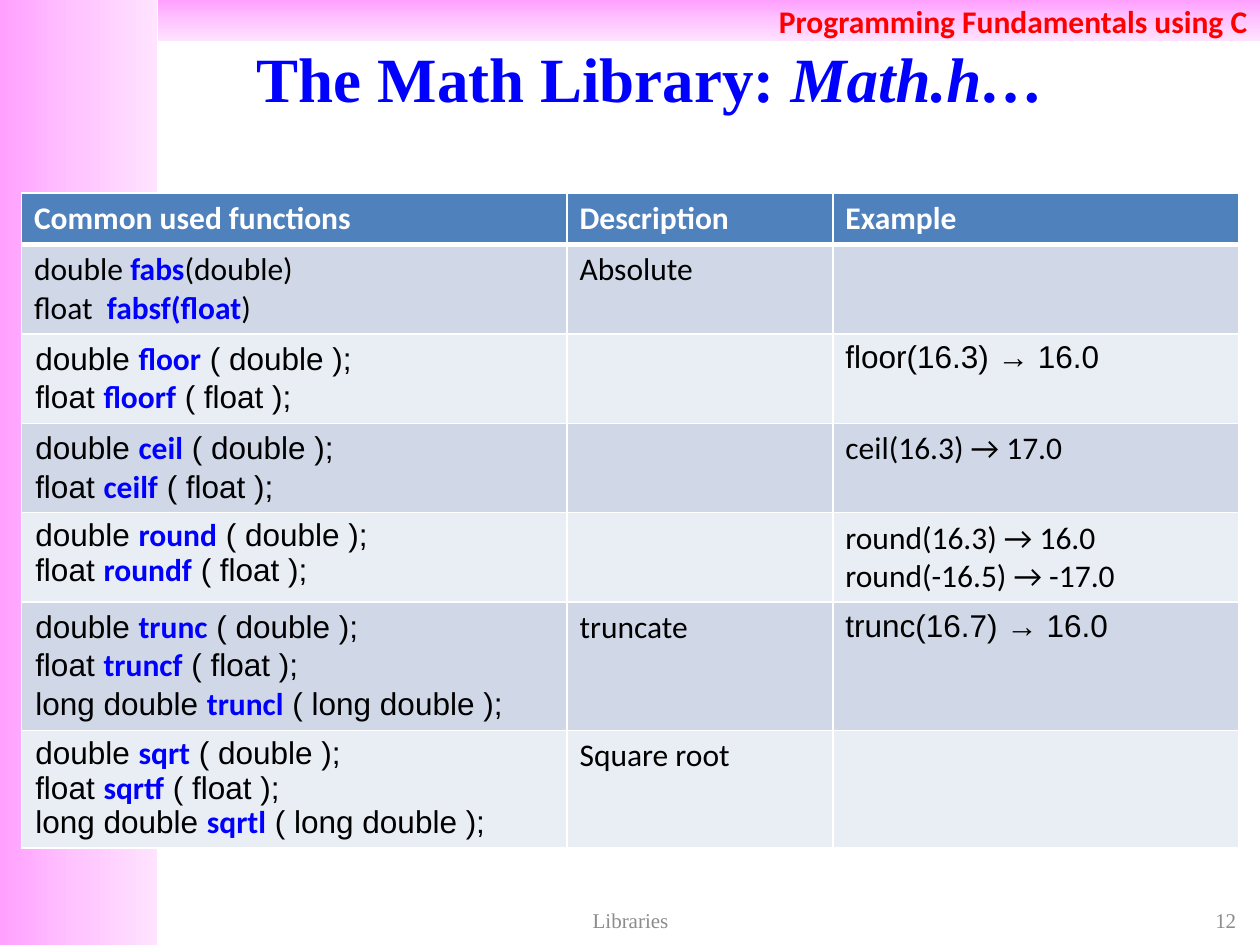
"""Build the Math.h function table slide."""
import copy
import dataclasses

import lxml.etree
import pptx
import pptx.dml.color
import pptx.enum.shapes
import pptx.enum.text
import pptx.oxml.ns
import pptx.util

Inches = pptx.util.Inches
Pt = pptx.util.Pt
qn = pptx.oxml.ns.qn
ALIGN = pptx.enum.text.PP_ALIGN
MIDDLE = pptx.enum.text.MSO_ANCHOR.MIDDLE


@dataclasses.dataclass(frozen=True)
class Theme:
    sans: str = "Calibri"
    code: str = "Arial"
    serif: str = "Times New Roman"
    title_size: int = 36
    body_size: int = 18
    footer_size: int = 12
    black: str = "000000"
    white: str = "FFFFFF"
    blue: str = "0000FF"
    red: str = "FF0000"
    grey: str = "8C8C8C"
    header: str = "4F81BD"
    bands: tuple = ("D0D8E8", "E9EDF4")
    pinks: tuple = ("FFA0FF", "FFC5FF", "FFE3FF")


THEME = Theme()


def rgb(value):
    return pptx.dml.color.RGBColor.from_string(value)


def write(tf, text, font=THEME.sans, size=THEME.body_size, color=THEME.black,
          bold=False, align=ALIGN.LEFT, spacing=None, mark=None):
    """Write lines of text, giving the parts between asterisks the mark format."""
    for i, line in enumerate(text.split("\n")):
        p = tf.paragraphs[0] if i == 0 else tf.add_paragraph()
        p.alignment = align
        if spacing:
            p.line_spacing = spacing
        for j, part in enumerate(line.split("*")):
            if not part:
                continue
            fmt = {"name": font, "color": color, "bold": bold, "italic": False}
            if j % 2:
                fmt.update(mark)
            r = p.add_run()
            r.text = part
            r.font.name = fmt["name"]
            r.font.size = Pt(size)
            r.font.bold = fmt["bold"]
            r.font.italic = fmt["italic"]
            r.font.color.rgb = rgb(fmt["color"])


class Deck:
    def __init__(self, theme):
        self.theme = theme
        self.prs = pptx.Presentation()
        self.prs.slide_width = Inches(10)
        self.prs.slide_height = Inches(7.5)
        self.s = self.prs.slides.add_slide(self.prs.slide_layouts[6])

    def gradient_bar(self, x, y, w, h, angle):
        sp = self.s.shapes.add_shape(pptx.enum.shapes.MSO_SHAPE.RECTANGLE,
                                     Inches(x), Inches(y), Inches(w), Inches(h))
        sp.shadow.inherit = False
        sp.line.fill.background()
        sp.fill.gradient()
        sp.fill.gradient_angle = angle
        stops = next(sp._element.iter(qn("a:gsLst")))
        stops.append(copy.deepcopy(stops[0]))
        for i, stop in enumerate(sp.fill.gradient_stops):
            stop.position = i / 2
            stop.color.rgb = rgb(self.theme.pinks[i])
        sp.text_frame.vertical_anchor = MIDDLE
        return sp

    def text(self, x, y, w, h, text, **fmt):
        sp = self.s.shapes.add_textbox(Inches(x), Inches(y), Inches(w), Inches(h))
        tf = sp.text_frame
        tf.word_wrap = True
        tf.vertical_anchor = MIDDLE
        write(tf, text, **fmt)

    def border(self, cell, side, width):
        ln = lxml.etree.SubElement(cell._tc.get_or_add_tcPr(), qn(f"a:ln{side}"),
                                   w=str(Pt(width)))
        fill = lxml.etree.SubElement(ln, qn("a:solidFill"))
        lxml.etree.SubElement(fill, qn("a:srgbClr"), val=self.theme.white)

    def table(self, x, y, widths, heights, rows):
        t = self.theme
        mark = {"name": t.sans, "color": t.blue, "bold": True}
        frame = self.s.shapes.add_table(len(rows), len(widths), Inches(x), Inches(y),
                                        Inches(sum(widths)), Inches(sum(heights)))
        table = frame.table
        for column, width in zip(table.columns, widths):
            column.width = Inches(width)
        for i, (row, height) in enumerate(zip(rows, heights)):
            table.rows[i].height = Inches(height)
            for j, (text, fmt) in enumerate(row):
                cell = table.cell(i, j)
                for side, heavy_row in (("L", None), ("R", None), ("T", 1), ("B", 0)):
                    self.border(cell, side, 3 if i == heavy_row else 1)
                cell.fill.solid()
                cell.fill.fore_color.rgb = rgb(t.bands[(i - 1) % 2] if i else t.header)
                if j == 0 and fmt.get("font") == t.code:
                    cell.margin_left = Inches(0.11)
                write(cell.text_frame, text, mark=mark, **fmt)


def main():
    t = THEME
    head = {"color": t.white, "bold": True}
    plain = {}
    code = {"font": t.code}
    tight = {"font": t.code, "spacing": 0.9}
    rows = [
        [("Common used functions", head), ("Description", head), ("Example", head)],
        [("double *fabs*(double)\nfloat  *fabsf(float*)", plain),
         ("Absolute", plain), ("", plain)],
        [("double *floor* ( double );\nfloat *floorf* ( float );", code),
         ("", plain), ("floor(16.3) → 16.0", code)],
        [("double *ceil* ( double );\nfloat *ceilf* ( float );", code),
         ("", plain), ("ceil(16.3) → 17.0", plain)],
        [("double *round* ( double );\nfloat *roundf* ( float );", tight),
         ("", plain), ("round(16.3) → 16.0\nround(-16.5) → -17.0", plain)],
        [("double *trunc* ( double );\nfloat *truncf* ( float );\n"
          "long double *truncl* ( long double );", code),
         ("truncate", plain), ("trunc(16.7) → 16.0", code)],
        [("double *sqrt* ( double );\nfloat *sqrtf* ( float );\n"
          "long double *sqrtl* ( long double );", tight),
         ("Square root", plain), ("", plain)],
    ]

    deck = Deck(t)
    deck.gradient_bar(0, 0, 1.25, 7.5, angle=0)
    banner = deck.gradient_bar(1.25, 0, 8.75, 0.33, angle=270)
    write(banner.text_frame, "Programming Fundamentals using C",
          color=t.red, bold=True, align=ALIGN.RIGHT)
    deck.text(0.83, 0.3, 8.67, 0.62, "The Math Library: *Math.h…*", font=t.serif,
              size=t.title_size, color=t.blue, bold=True, align=ALIGN.CENTER,
              mark={"italic": True})
    footer = {"font": t.serif, "size": t.footer_size, "color": t.grey}
    deck.text(7.58, 7.17, 2.33, 0.27, "12", align=ALIGN.RIGHT, **footer)
    deck.text(3.42, 7.17, 3.17, 0.27, "Libraries", align=ALIGN.CENTER, **footer)
    deck.table(0.17, 1.53, widths=[4.33, 2.11, 3.22],
               heights=[0.41] + [0.71] * 4 + [1.02, 0.93], rows=rows)
    deck.prs.save("out.pptx")


if __name__ == "__main__":
    main()
